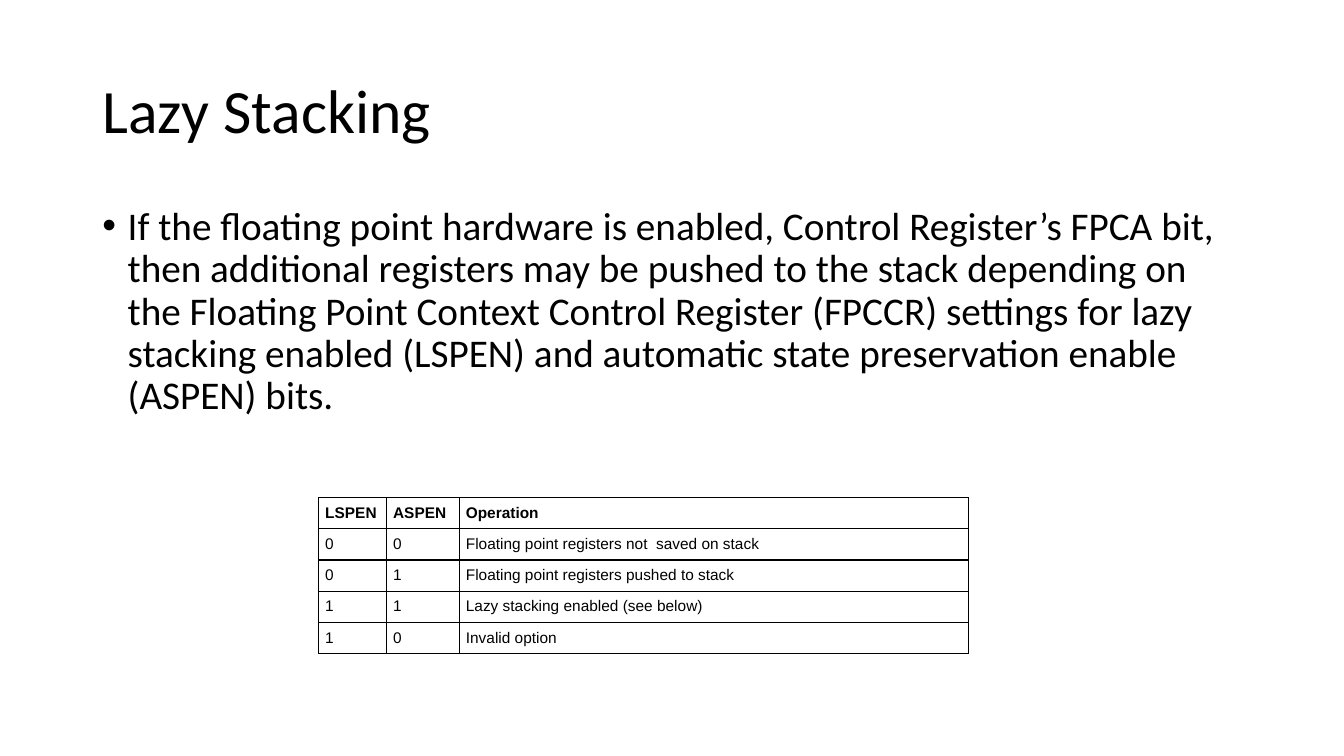
import pptx
import pptx.dml.color
import pptx.enum.text
import pptx.oxml
import pptx.oxml.ns
import pptx.util

Pt = pptx.util.Pt
BLACK = pptx.dml.color.RGBColor(0, 0, 0)
NS = pptx.oxml.ns.nsdecls("a")
ROWS = [
    ("LSPEN", "ASPEN", "Operation"),
    ("0", "0", "Floating point registers not  saved on stack"),
    ("0", "1", "Floating point registers pushed to stack"),
    ("1", "1", "Lazy stacking enabled (see below)"),
    ("1", "0", "Invalid option"),
]


class Deck:
    """Holds the style and the current slide."""

    head, text, ink = "Calibri", "Arial", BLACK

    def __init__(self):
        self.file = pptx.Presentation()
        self.file.slide_width, self.file.slide_height = Pt(960), Pt(540)
        self.slide = self.file.slides.add_slide(self.file.slide_layouts[1])

    def run(self, para, text, font, size, bold=False):
        run = para.add_run()
        run.text = text
        run.font.name, run.font.size, run.font.bold = font, Pt(size), bold
        run.font.color.rgb = self.ink

    def holder(self, shape, box, anchor, text, size):
        shape.left, shape.top, shape.width, shape.height = map(Pt, box)
        frame = shape.text_frame
        frame.auto_size = pptx.enum.text.MSO_AUTO_SIZE.NONE
        frame.vertical_anchor = anchor
        para = frame.paragraphs[0]
        para.alignment = pptx.enum.text.PP_ALIGN.LEFT
        para.line_spacing = 0.9
        self.run(para, text, self.head, size)
        return para

    def title(self, text, box):
        anchor = pptx.enum.text.MSO_ANCHOR.MIDDLE
        self.holder(self.slide.shapes.title, box, anchor, text, 44)

    def bullet(self, text, box):
        anchor = pptx.enum.text.MSO_ANCHOR.TOP
        para = self.holder(self.slide.placeholders[1], box, anchor, text, 28)
        para.space_before = Pt(10)
        props = para._p.get_or_add_pPr()
        props.set("marL", str(Pt(18)))
        props.set("indent", str(-Pt(18)))
        for tag in ('buFont typeface="Arial"', 'buChar char="•"'):
            props.append(pptx.oxml.parse_xml(f"<a:{tag} {NS}/>"))

    def border(self, cell):
        props = cell._tc.get_or_add_tcPr()
        for side in ("lnL", "lnR", "lnT", "lnB"):
            props.append(pptx.oxml.parse_xml(
                f'<a:{side} {NS} w="{Pt(1)}"><a:solidFill>'
                f'<a:srgbClr val="{self.ink}"/></a:solidFill></a:{side}>'))

    def table(self, rows, left, top, widths, height):
        frame = self.slide.shapes.add_table(
            len(rows), len(widths), Pt(left), Pt(top),
            Pt(sum(widths)), Pt(height * len(rows)))
        grid = frame.table
        grid.first_row = grid.horz_banding = False
        for col, width in zip(grid.columns, widths):
            col.width = Pt(width)
        for r, row in enumerate(rows):
            grid.rows[r].height = Pt(height)
            for c, text in enumerate(row):
                cell = grid.cell(r, c)
                cell.margin_left = cell.margin_right = Pt(4.8)
                cell.margin_top = cell.margin_bottom = Pt(4.8)
                self.border(cell)
                cell.fill.background()
                para = cell.text_frame.paragraphs[0]
                self.run(para, text, self.text, 11, r == 0)


def main():
    deck = Deck()
    # Heading
    deck.title("Lazy Stacking", (66, 28.8, 828, 104.4))
    # Explanation
    deck.bullet(
        "If the floating point hardware is enabled, Control Register’s FPCA "
        "bit, then additional registers may be pushed to the stack depending "
        "on the Floating Point Context Control Register (FPCCR) settings for "
        "lazy stacking enabled (LSPEN) and automatic state preservation "
        "enable (ASPEN) bits.", (66, 144, 828, 342.7))
    # Register settings
    deck.table(ROWS, 227.5, 355.5, (48.5, 52, 364), 22.3)
    deck.file.save("out.pptx")


if __name__ == "__main__":
    main()
